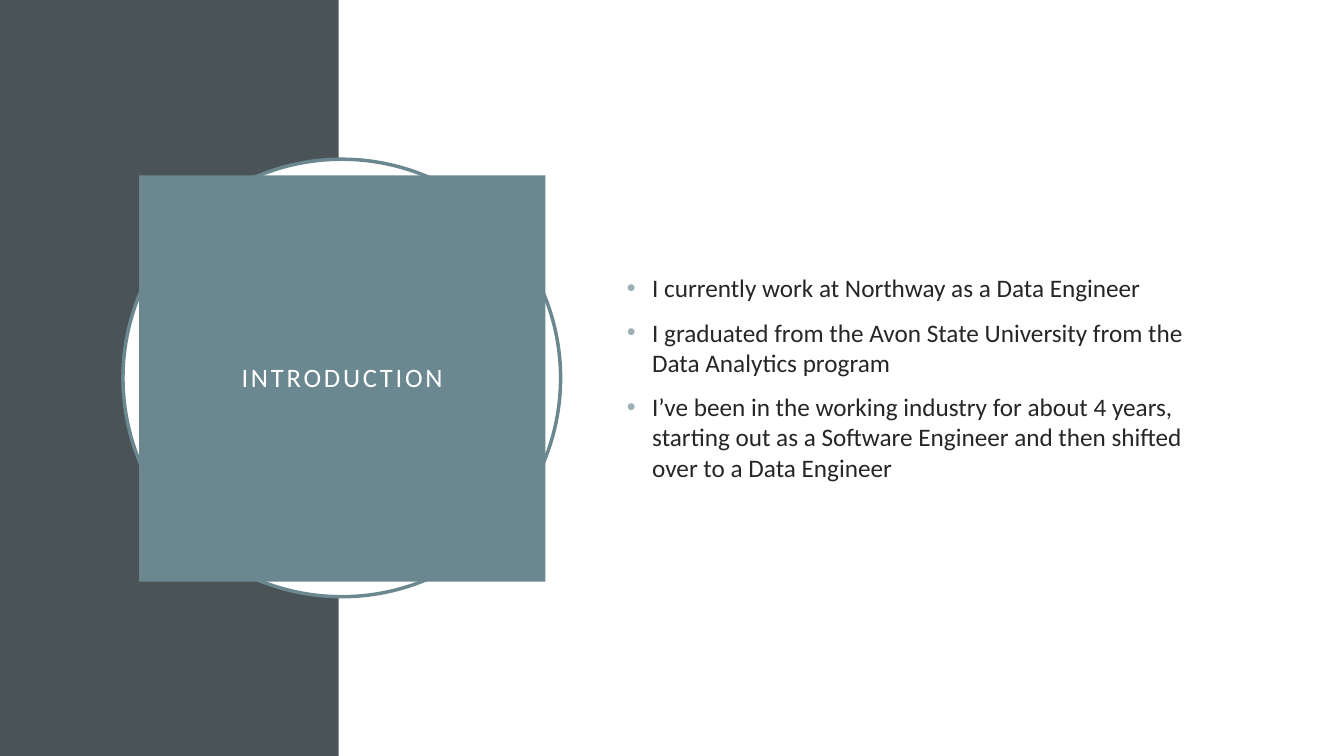
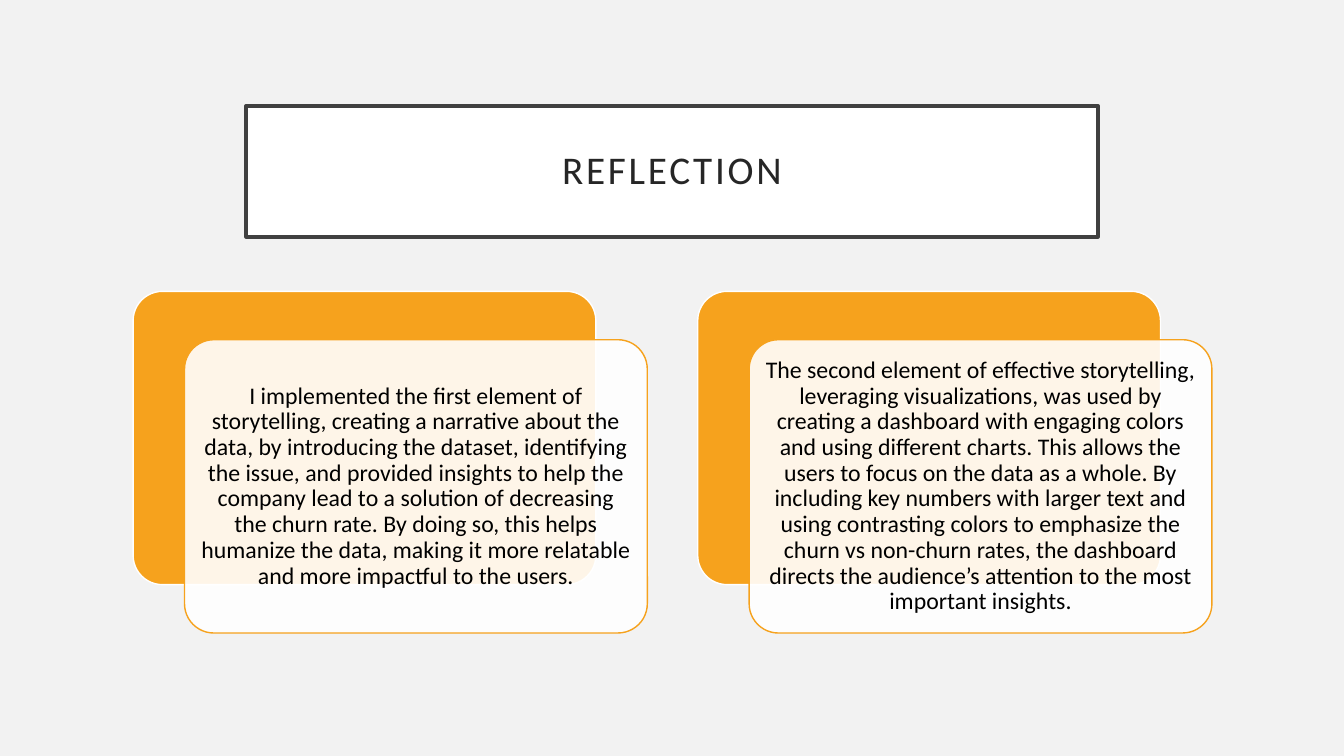
from dataclasses import dataclass

from lxml.etree import SubElement
from pptx import Presentation
from pptx.dml.color import RGBColor
from pptx.enum.shapes import MSO_SHAPE as Kind
from pptx.enum.text import MSO_ANCHOR as Anchor, PP_ALIGN as Align
from pptx.oxml.ns import qn
from pptx.util import Inches, Pt

# Shared style
FONT = "Calibri"
WHITE, PALE, BLACK = "FFFFFF", "F2F2F2", "000000"
INK, FRAME, SLATE = "262626", "404040", "4A5356"
TEAL, MIST, AMBER = "6B8891", "9BAFB5", "F6A21D"


@dataclass
class Box:
    x: float
    y: float
    w: float
    h: float

    def shift(self, dx: float, dy: float = 0) -> "Box":
        return Box(self.x + dx, self.y + dy, self.w, self.h)

    def lengths(self) -> list:
        return [Inches(v) for v in (self.x, self.y, self.w, self.h)]


def paint(color, code: str) -> None:
    color.rgb = RGBColor.from_string(code)


def add_page(deck, color: str):
    page = deck.slides.add_slide(deck.slide_layouts[6])
    page.background.fill.solid()
    paint(page.background.fill.fore_color, color)
    return page


def add_shape(page, kind, box: Box, fill: str, line: str = "",
              width: float = 1, alpha: int = 100):
    shape = page.shapes.add_shape(kind, *box.lengths())
    shape.shadow.inherit = False
    shape.fill.solid()
    paint(shape.fill.fore_color, fill)
    if alpha < 100:
        tint = shape.fill._xPr.find(".//" + qn("a:srgbClr"))
        SubElement(tint, qn("a:alpha"), val=str(alpha * 1000))
    if line:
        paint(shape.line.color, line)
        shape.line.width = Pt(width)
    else:
        shape.line.fill.background()
    return shape


def set_text(shape, text: str, size: float, color: str, inset: float) -> None:
    frame = shape.text_frame
    frame.text = text
    frame.word_wrap = True
    frame.vertical_anchor = Anchor.MIDDLE
    frame.margin_left = frame.margin_right = Inches(inset)
    frame.margin_top = frame.margin_bottom = Inches(inset)
    for para in frame.paragraphs:
        para.alignment = Align.CENTER
        para.line_spacing = 0.9
        for run in para.runs:
            run.font.name = FONT
            run.font.size = Pt(size)
            paint(run.font.color, color)


def add_title(page, text: str, box: Box, size: float, color: str,
              fill: str, line: str = "") -> None:
    shape = add_shape(page, Kind.RECTANGLE, box, fill, line, 2.5)
    set_text(shape, text, size, color, 0.2)
    for run in shape.text_frame.paragraphs[0].runs:
        run._r.get_or_add_rPr().set("spc", "200")


def add_list(page, items: list[str], box: Box) -> None:
    area = page.shapes.add_textbox(*box.lengths())
    set_text(area, "\n".join(items), 18, INK, 0.1)
    for para in area.text_frame.paragraphs:
        para.alignment = Align.LEFT
        para.line_spacing = 1.0
        para.space_before = Pt(10)
        props = para._p.get_or_add_pPr()
        props.set("marL", str(Inches(0.25)))
        props.set("indent", str(-Inches(0.25)))
        tint = SubElement(props, qn("a:buClr"))
        SubElement(tint, qn("a:srgbClr"), val=MIST)
        SubElement(props, qn("a:buFont"), typeface="Arial")
        SubElement(props, qn("a:buChar"), char="•")


def add_card(page, text: str, box: Box) -> None:
    back = add_shape(page, Kind.ROUNDED_RECTANGLE, box, AMBER, WHITE)
    front = add_shape(page, Kind.ROUNDED_RECTANGLE, box.shift(0.51, 0.48),
                      WHITE, AMBER, alpha=90)
    for shape in (back, front):
        shape.adjustments[0] = 0.1
    set_text(front, text, 17, BLACK, 0.07)


# Slide wording
FACTS = [
    "I currently work at Northway as a Data Engineer",
    "I graduated from the Avon State University from the Data Analytics "
    "program",
    "I’ve been in the working industry for about 4 years, starting out as a "
    "Software Engineer and then shifted over to a Data Engineer",
]
LESSONS = [
    "I implemented the first element of storytelling, creating a narrative "
    "about the data, by introducing the dataset, identifying the issue, and "
    "provided insights to help the company lead to a solution of decreasing "
    "the churn rate. By doing so, this helps humanize the data, making it "
    "more relatable and more impactful to the users.",
    "The second element of effective storytelling, leveraging "
    "visualizations, was used by creating a dashboard with engaging colors "
    "and using different charts. This allows the users to focus on the data "
    "as a whole. By including key numbers with larger text and using "
    "contrasting colors to emphasize the churn vs non-churn rates, the "
    "dashboard directs the audience’s attention to the most important "
    "insights.",
]


def main() -> None:
    deck = Presentation()
    deck.slide_width, deck.slide_height = Inches(13.33), Inches(7.5)

    # Introduction
    page = add_page(deck, WHITE)
    add_shape(page, Kind.RECTANGLE, Box(0, 0, 3.36, 7.5), SLATE)
    add_shape(page, Kind.OVAL, Box(1.22, 1.58, 4.34, 4.34), WHITE, TEAL, 2.5)
    add_title(page, "INTRODUCTION", Box(1.38, 1.74, 4.03, 4.03), 19, WHITE,
              TEAL)
    add_list(page, FACTS, Box(6.12, 1.53, 5.82, 4.43))

    # Reflection
    page = add_page(deck, PALE)
    add_title(page, "REFLECTION", Box(2.44, 1.05, 8.45, 1.3), 28, INK, WHITE,
              FRAME)
    first = Box(1.32, 2.89, 4.59, 2.91)
    for i, text in enumerate(LESSONS):
        add_card(page, text, first.shift(i * 5.6))

    deck.save("out.pptx")


if __name__ == "__main__":
    main()
